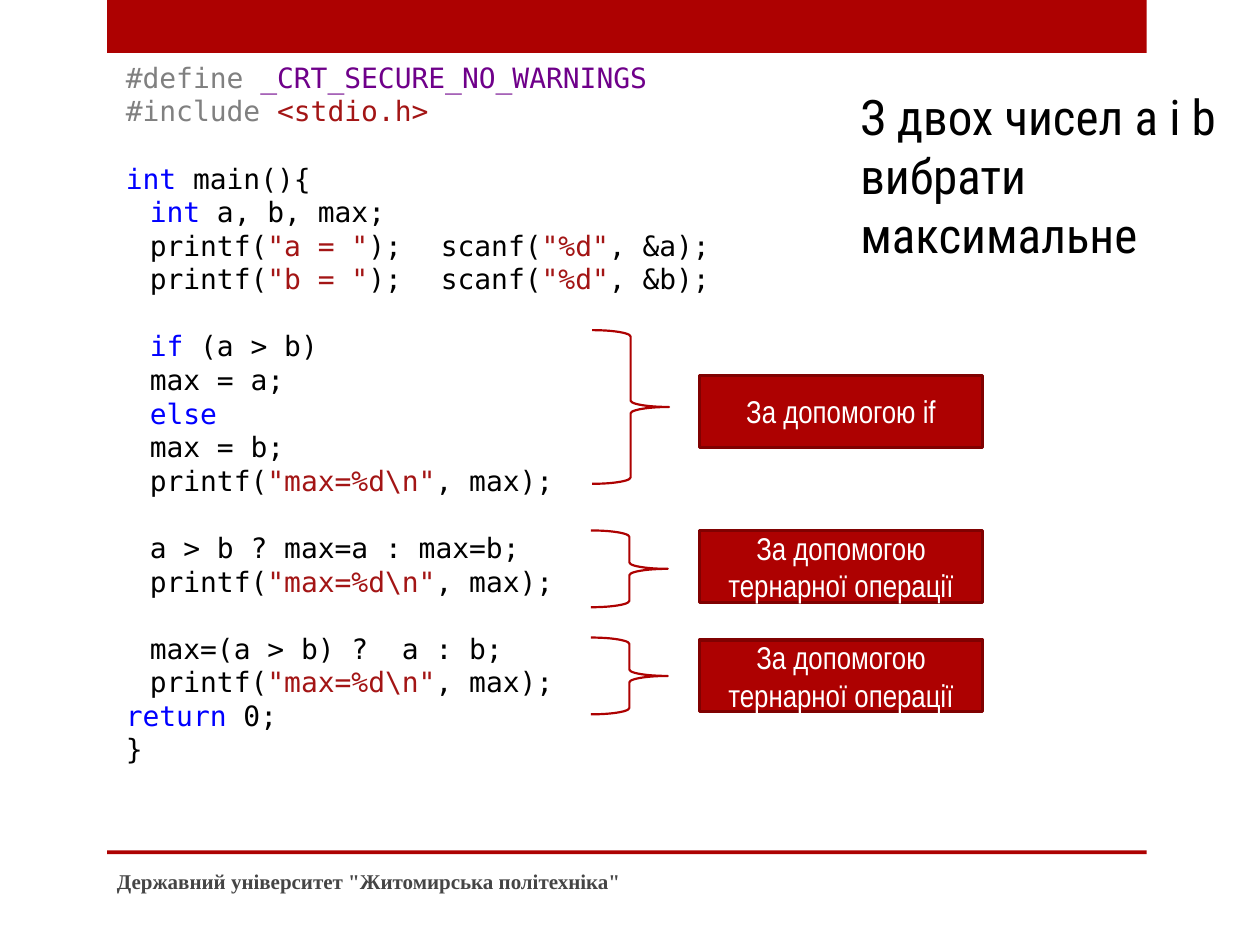
from pptx import Presentation
from pptx.dml.color import RGBColor
from pptx.enum.shapes import MSO_SHAPE
from pptx.enum.text import MSO_ANCHOR, PP_ALIGN
from pptx.util import Inches, Pt

RED = RGBColor(0xAD, 0x01, 0x01)
DARK_RED = RGBColor(0x80, 0x01, 0x01)
WHITE = RGBColor(0xFF, 0xFF, 0xFF)
BLACK = RGBColor(0, 0, 0)
FOOTER_GREY = RGBColor(0x45, 0x45, 0x45)
DIRECTIVE = RGBColor(0x80, 0x80, 0x80)
MACRO = RGBColor(0x6F, 0x00, 0x8A)
STRING = RGBColor(0xA3, 0x15, 0x15)
KEYWORD = RGBColor(0x00, 0x00, 0xFF)

CODE_INDENT = Inches(0.19)
CODE_GAP = Pt(19.2)  # height of one code line


def read_number(name):
    return [("printf(", BLACK), (f'"{name} = "', STRING), (");\tscanf(", BLACK),
            ('"%d"', STRING), (f", &{name});", BLACK)]


PRINT_MAX = [("printf(", BLACK), ('"max=%d\\n"', STRING), (", max);", BLACK)]

# Groups of lines set apart by a gap; each line is (indented, runs)
CODE = [
    [(False, [("#define ", DIRECTIVE), ("_CRT_SECURE_NO_WARNINGS", MACRO)]),
     (False, [("#include ", DIRECTIVE), ("<stdio.h>", STRING)])],
    [(False, [("int", KEYWORD), (" main(){", BLACK)]),
     (True, [("int", KEYWORD), (" a, b, max;", BLACK)]),
     (True, read_number("a")),
     (True, read_number("b"))],
    [(True, [("if", KEYWORD), (" (a > b)", BLACK)]),
     (True, [("max = a;", BLACK)]),
     (True, [("else", KEYWORD)]),
     (True, [("max = b;", BLACK)]),
     (True, PRINT_MAX)],
    [(True, [("a > b ? max=a : max=b;", BLACK)]),
     (True, PRINT_MAX)],
    [(True, [("max=(a > b) ?  a : b;", BLACK)]),
     (True, PRINT_MAX),
     (False, [("return", KEYWORD), (" 0;", BLACK)]),
     (False, [("}", BLACK)])],
]

# Brace left, top, height; label top, text
NOTES = [
    (4.7, 2.62, 1.22, 2.98, "За допомогою if"),
    (4.69, 4.21, 0.61, 4.21, "За допомогою тернарної операції"),
    (4.69, 5.06, 0.61, 5.08, "За допомогою тернарної операції"),
]


def add_run(p, text, font, size, color, bold=False):
    r = p.add_run()
    r.text = text
    r.font.name = font
    r.font.size = Pt(size)
    r.font.bold = bold
    r.font.color.rgb = color


def add_text_box(s, left, top, width, height, anchor=MSO_ANCHOR.TOP):
    box = s.shapes.add_textbox(Inches(left), Inches(top), Inches(width), Inches(height))
    tf = box.text_frame
    tf.word_wrap = True
    tf.vertical_anchor = anchor
    return tf


def add_shape(s, kind, left, top, width, height, fill=None, line=None, weight=1.25):
    sp = s.shapes.add_shape(kind, Inches(left), Inches(top), Inches(width), Inches(height))
    sp.shadow.inherit = False
    if fill is None:
        sp.fill.background()
    else:
        sp.fill.solid()
        sp.fill.fore_color.rgb = fill
    if line is None:
        sp.line.fill.background()
    else:
        sp.line.color.rgb = line
        sp.line.width = Pt(weight)
    return sp


def add_code(s):
    tf = add_text_box(s, 0.9, 0.43, 8.12, 5.76)
    p = None
    for group in CODE:
        for i, (indented, runs) in enumerate(group):
            first = p is None
            p = tf.paragraphs[0] if first else tf.add_paragraph()
            if indented:
                pPr = p._p.get_or_add_pPr()
                pPr.set("marL", "0")
                pPr.set("indent", str(CODE_INDENT))
            if i == 0 and not first:
                p.space_before = CODE_GAP
            for text, color in runs:
                add_run(p, text, "DejaVu Sans Mono", 16, color)


def add_note(s, brace_left, brace_top, brace_height, label_top, text):
    add_shape(s, MSO_SHAPE.RIGHT_BRACE, brace_left, brace_top, 0.61, brace_height, line=RED)
    label = add_shape(s, MSO_SHAPE.RECTANGLE, 5.55, label_top, 2.25, 0.57, RED, DARK_RED, 1.75)
    tf = label.text_frame
    tf.word_wrap = True
    tf.vertical_anchor = MSO_ANCHOR.MIDDLE
    p = tf.paragraphs[0]
    p.alignment = PP_ALIGN.CENTER
    add_run(p, text, "Arial Narrow", 18, WHITE)


def main():
    prs = Presentation()
    prs.slide_width, prs.slide_height = Inches(10), Inches(7.5)
    s = prs.slides.add_slide(prs.slide_layouts[6])

    # Top band and footer rule
    for top, height in ((0, 0.42), (6.75, 0.03)):
        add_shape(s, MSO_SHAPE.RECTANGLE, 0.85, top, 8.25, height, RED)

    # Program and task
    add_code(s)
    tf = add_text_box(s, 6.73, 0.64, 3.11, 1.51)
    add_run(tf.paragraphs[0], "З двох чисел a i b вибрати максимальне",
            "Roboto Condensed", 28, BLACK)

    # Braces with labels
    for note in NOTES:
        add_note(s, *note)

    # Footer
    tf = add_text_box(s, 0.83, 6.79, 5.33, 0.4, MSO_ANCHOR.MIDDLE)
    add_run(tf.paragraphs[0], 'Державний університет "Житомирська політехніка"',
            "Times New Roman", 12, FOOTER_GREY, bold=True)

    prs.save("out.pptx")


if __name__ == "__main__":
    main()
